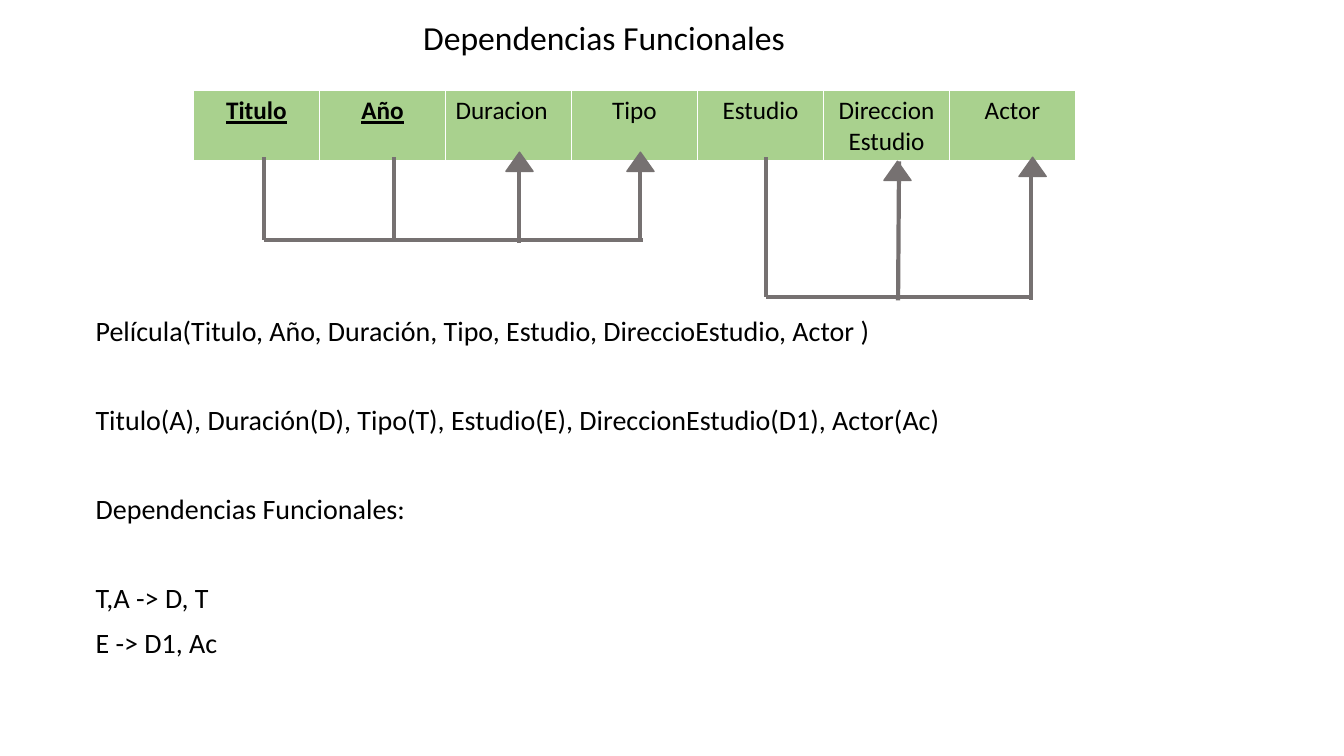
import pptx
import pptx.util
import pptx.dml.color
import pptx.enum.shapes
import pptx.enum.text
import pptx.oxml
import pptx.oxml.ns

Pt = pptx.util.Pt
Shape = pptx.enum.shapes.MSO_SHAPE
Align = pptx.enum.text.PP_ALIGN


def color(code):
    return pptx.dml.color.RGBColor.from_string(code)


class Board:
    """Holds the style and the current slide, and draws each kind of element."""

    font = "Calibri"
    ink = "000000"
    gray = "767171"
    green = "A9D18E"
    edge = "FFFFFF"

    def __init__(self, slide):
        self.slide = slide

    def style(self, para, size):
        para.font.name = self.font
        para.font.size = Pt(size)
        para.font.color.rgb = color(self.ink)

    def text(self, left, top, width, height, size, lines):
        box = self.slide.shapes.add_textbox(Pt(left), Pt(top), Pt(width), Pt(height))
        frame = box.text_frame
        frame.word_wrap = True
        for index, (words, gap) in enumerate(lines):
            para = frame.add_paragraph() if index else frame.paragraphs[0]
            para.text = words
            para.line_spacing = 0.9
            para.space_before = Pt(gap)
            self.style(para, size)

    def border(self, cell):
        props = cell._tc.get_or_add_tcPr()
        space = pptx.oxml.ns.nsdecls("a")
        for side, width in (("L", 1), ("R", 1), ("T", 1), ("B", 3)):
            props.append(pptx.oxml.parse_xml(
                f'<a:ln{side} {space} w="{Pt(width)}"><a:solidFill>'
                f'<a:srgbClr val="{self.edge}"/></a:solidFill></a:ln{side}>'))

    def table(self, left, top, wide, high, names, keys, start):
        size = Pt(left), Pt(top), Pt(wide * len(names)), Pt(high)
        grid = self.slide.shapes.add_table(1, len(names), *size).table
        grid.horz_banding = False
        for index, name in enumerate(names):
            grid.columns[index].width = Pt(wide)
            cell = grid.cell(0, index)
            self.border(cell)
            cell.fill.solid()
            cell.fill.fore_color.rgb = color(self.green)
            para = cell.text_frame.paragraphs[0]
            para.text = name
            para.alignment = Align.LEFT if name in start else Align.CENTER
            self.style(para, 18)
            para.font.bold = para.font.underline = name in keys

    def line(self, left, top, right, low):
        link = self.slide.shapes.add_connector(
            pptx.enum.shapes.MSO_CONNECTOR.STRAIGHT, Pt(left), Pt(top), Pt(right), Pt(low))
        link.line.color.rgb = color(self.gray)
        link.line.width = Pt(3)
        link._element.spPr.append(pptx.oxml.parse_xml(
            f'<a:effectLst {pptx.oxml.ns.nsdecls("a")}/>'))

    def head(self, left, top):
        tip = self.slide.shapes.add_shape(
            Shape.ISOSCELES_TRIANGLE, Pt(left), Pt(top), Pt(19.4), Pt(13.7))
        tip.shadow.inherit = False
        tip.fill.solid()
        tip.fill.fore_color.rgb = color(self.gray)
        tip.line.color.rgb = color(self.gray)
        tip.line.width = Pt(1)


def main():
    deck = pptx.Presentation()
    deck.slide_width, deck.slide_height = Pt(960), Pt(540)
    board = Board(deck.slides.add_slide(deck.slide_layouts[6]))

    names = ["Titulo", "Año", "Duracion", "Tipo", "Estudio", "Direccion Estudio", "Actor"]
    board.table(138.2, 64.8, 90, 50.4, names, ("Titulo", "Año"), ("Duracion",))

    for left, right, low in ((188.6, 459.4, 171.4), (547.2, 737.3, 212.4)):
        board.line(left, 112.3, left, low)
        board.line(left, low, right, low)
    board.line(281.5, 112.3, 281.5, 171.4)

    stems = ((370.8, 370.8, 173.5), (457.2, 457.2, 171.4),
             (642.2, 641.5, 214.6), (736.6, 736.6, 214.6))
    for top, bottom, low in stems:
        board.line(top, 115.2, bottom, low)
    for left, top in ((361.4, 108.7), (447.8, 108.7), (631.4, 115.2), (727.9, 112.3)):
        board.head(left, top)

    board.text(61.2, 223.2, 885, 281.5, 20, (
        ("Película(Titulo, Año, Duración, Tipo, Estudio, DireccioEstudio, Actor )", 0),
        ("Titulo(A), Duración(D), Tipo(T), Estudio(E), DireccionEstudio(D1), Actor(Ac)", 42),
        ("Dependencias Funcionales:", 42),
        ("T,A -> D, T", 42),
        ("E -> D1, Ac", 10)))
    board.text(295.2, 11.5, 600, 50, 24, (("Dependencias Funcionales", 0),))

    deck.save("out.pptx")


if __name__ == "__main__":
    main()
